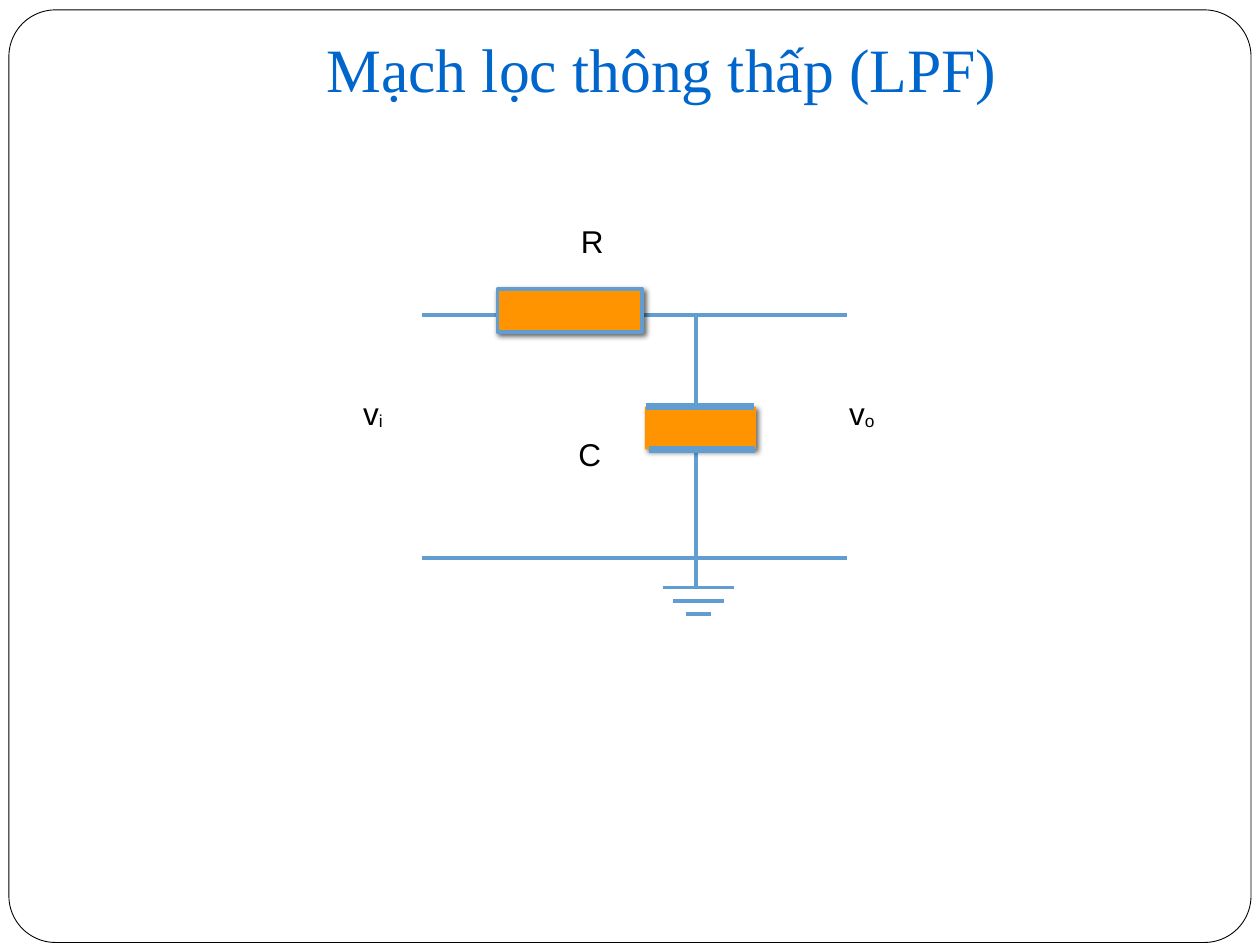
from typing import NamedTuple

from lxml import etree
from pptx import Presentation
from pptx.dml.color import RGBColor
from pptx.enum.shapes import MSO_CONNECTOR, MSO_SHAPE
from pptx.enum.text import MSO_ANCHOR, PP_ALIGN
from pptx.oxml import parse_xml
from pptx.oxml.ns import qn
from pptx.util import Cm, Pt

STRAIGHT = MSO_CONNECTOR.STRAIGHT
RECTANGLE = MSO_SHAPE.RECTANGLE
ROUNDED = MSO_SHAPE.ROUNDED_RECTANGLE
TOP, BOTTOM = MSO_ANCHOR.TOP, MSO_ANCHOR.BOTTOM
LEFT, CENTER = PP_ALIGN.LEFT, PP_ALIGN.CENTER

BLACK, WHITE = "000000", "FFFFFF"
TITLE_BLUE, WIRE_BLUE, ORANGE = "0066CC", "629DD1", "FF9300"
WIRE_WIDTH, PLATE_WIDTH = 2.08, 4
INSET = Cm(0.13)

SHADOW = """
<a:effectLst xmlns:a="http://schemas.openxmlformats.org/drawingml/2006/main">
  <a:outerShdw blurRad="38100" dist="25400" dir="2700000" algn="ctr" rotWithShape="0">
    <a:srgbClr val="000000"><a:alpha val="60000"/></a:srgbClr>
  </a:outerShdw>
</a:effectLst>"""


class Wire(NamedTuple):
    x1: float
    y1: float
    x2: float
    y2: float
    width: float = WIRE_WIDTH


class Box(NamedTuple):
    left: float
    top: float
    width: float
    height: float


class Label(NamedTuple):
    text: str
    left: float
    top: float
    subscript: str = ""


def color(hex_value: str) -> RGBColor:
    return RGBColor.from_string(hex_value)


def lengths(box: Box) -> list:
    return [Cm(value) for value in box]


def draw_wire(slide, wire: Wire) -> None:
    ends = [Cm(value) for value in wire[:4]]
    connector = slide.shapes.add_connector(STRAIGHT, *ends)
    connector.line.color.rgb = color(WIRE_BLUE)
    connector.line.width = Pt(wire.width)
    etree.SubElement(connector._element.spPr, qn("a:effectLst"))


def draw_block(slide, box: Box, fill: str, *, kind=RECTANGLE, line: str = "",
               line_width: float = WIRE_WIDTH, shadow: bool = False):
    block = slide.shapes.add_shape(kind, *lengths(box))
    block.fill.solid()
    block.fill.fore_color.rgb = color(fill)
    if line:
        block.line.color.rgb = color(line)
        block.line.width = Pt(line_width)
    else:
        block.line.fill.background()
    if shadow:
        block._element.spPr.append(parse_xml(SHADOW))
    else:
        block.shadow.inherit = False
    return block


def draw_text(slide, text: str, box: Box, *, size: float = 18, font: str = "Arial",
              hex_color: str = BLACK, align=LEFT, anchor=TOP, subscript: str = "") -> None:
    frame = slide.shapes.add_textbox(*lengths(box)).text_frame
    frame.word_wrap = True
    frame.vertical_anchor = anchor
    frame.margin_left = frame.margin_right = INSET
    frame.margin_top = frame.margin_bottom = INSET
    paragraph = frame.paragraphs[0]
    paragraph.alignment = align
    for content in filter(None, (text, subscript)):
        run = paragraph.add_run()
        run.text = content
        run.font.size = Pt(size)
        run.font.name = font
        run.font.color.rgb = color(hex_color)
    if subscript:
        run.font.size = Pt(size - 1)
        run.font._element.set("baseline", "-6000")


LEFT_END, RIGHT_END = 8.51, 17.07
INPUT_Y, RETURN_Y = 6.35, 11.25
BRANCH_X, GROUND_X, GROUND_Y = 14.03, 14.08, 11.84
GROUND_HALF_WIDTHS = (0.72, 0.51, 0.25)
GROUND_GAP = 0.27

RAILS = [Wire(LEFT_END, y, RIGHT_END, y) for y in (INPUT_Y, RETURN_Y)]
BRANCH = Wire(BRANCH_X, INPUT_Y, BRANCH_X, RETURN_Y)
GROUND_LEAD = Wire(BRANCH_X, 10.54, BRANCH_X, GROUND_Y)
GROUND_BARS = [
    Wire(GROUND_X - half, GROUND_Y + i * GROUND_GAP,
         GROUND_X + half, GROUND_Y + i * GROUND_GAP)
    for i, half in enumerate(GROUND_HALF_WIDTHS)
]
PLATES = [
    Wire(13.03, 8.2, 15.19, 8.2, PLATE_WIDTH),
    Wire(13.08, 9.07, 15.21, 9.07, PLATE_WIDTH),
]
RESISTOR = Box(10.03, 5.83, 2.92, 0.86)
CAPACITOR = Box(13, 8.2, 2.24, 0.86)
LABELS = [
    Label("R", 11.58, 4.34),
    Label("C", 11.53, 8.64),
    Label("v", 7.19, 7.82, "i"),
    Label("v", 16.99, 7.82, "o"),
]


def main() -> None:
    deck = Presentation()
    deck.slide_width, deck.slide_height = Cm(25.4), Cm(19.05)
    slide = deck.slides.add_slide(deck.slide_layouts[6])

    border = draw_block(slide, Box(0.18, 0.2, 25.04, 18.8), WHITE,
                        kind=ROUNDED, line=BLACK, line_width=0.5)
    border.adjustments[0] = 0.05
    draw_text(slide, "Mạch lọc thông thấp (LPF)", Box(2.54, 0.64, 21.59, 1.6),
              size=35.2, font="Times New Roman", hex_color=TITLE_BLUE,
              align=CENTER, anchor=BOTTOM)

    for wire in [BRANCH, *RAILS]:
        draw_wire(slide, wire)
    draw_block(slide, CAPACITOR, ORANGE, shadow=True)
    draw_block(slide, RESISTOR, ORANGE, line=WIRE_BLUE, shadow=True)
    for wire in [*PLATES, *GROUND_BARS, GROUND_LEAD]:
        draw_wire(slide, wire)
    for label in LABELS:
        draw_text(slide, label.text, Box(label.left, label.top, 2.51, 1.96),
                  subscript=label.subscript)

    deck.save("out.pptx")


if __name__ == "__main__":
    main()
